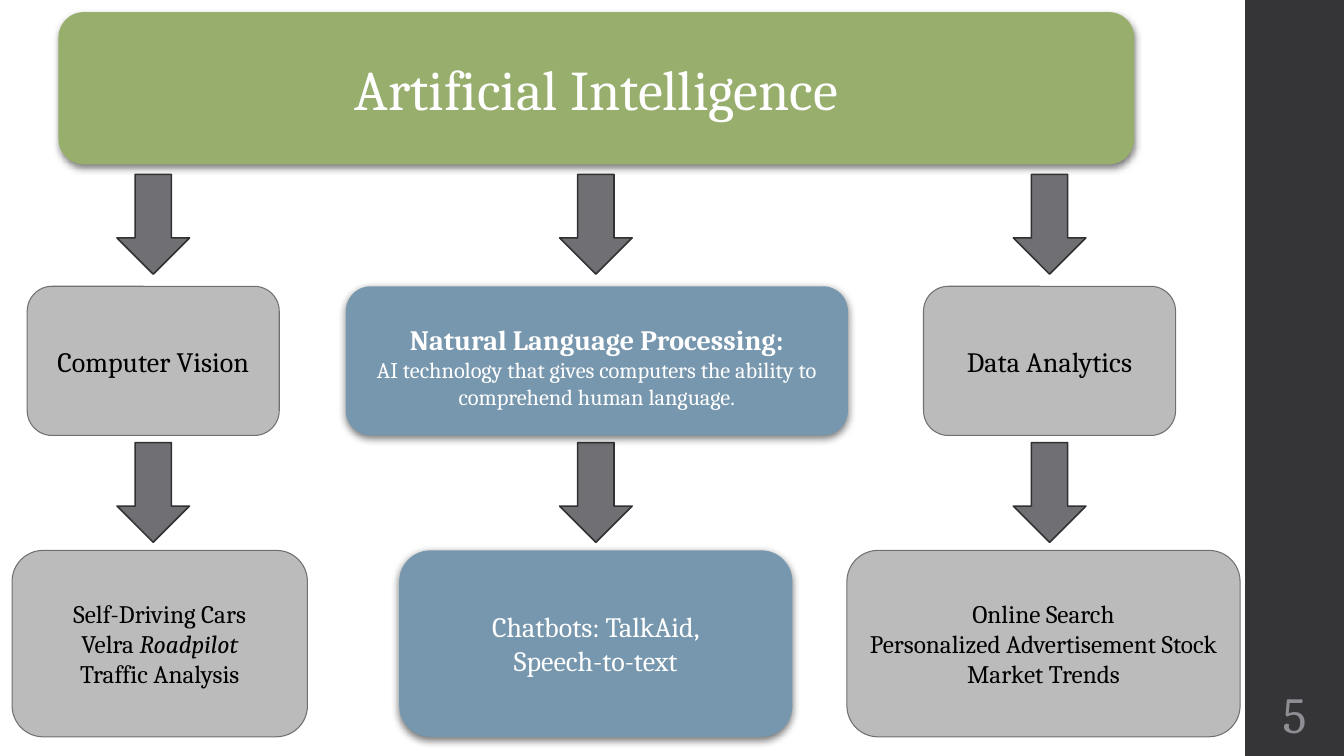
from lxml import etree
from pptx import Presentation
from pptx.dml.color import RGBColor
from pptx.enum.shapes import MSO_SHAPE as Shape
from pptx.enum.text import MSO_ANCHOR as Anchor, PP_ALIGN as Align
from pptx.oxml.ns import qn
from pptx.util import Inches, Pt

FONT = "Cambria"
COLORS = dict(bar="353537", number="8E8E94", green="97AE6D", blue="7797AE",
              grey="BBBBBC", arrow="6F6F74", outline="313133", white="FFFFFF",
              black="000000")
WIDTH, HEIGHT = 13.33, 7.5
BAR_LEFT = 12.35
TITLE = "Artificial Intelligence"
TITLE_BOX = (0.58, 0.12, 10.67, 1.51)
NUMBER = "5"

COLUMN_CENTERS = (1.52, 5.91, 10.41)
ARROW_SIZE = (0.72, 0.99)
ARROW_TOPS = (1.73, 4.39)
ROWS = ((2.84, 1.48), (5.46, 1.85))  # top, height

# Each box: row, left, width, colour, size, paragraphs of (text, format) runs
BOXES = [
    (0, 0.27, 2.5, "grey", 20, [[("Computer Vision", {})]]),
    (0, 3.43, 4.98, "blue", 16, [
        [("Natural Language Processing:", {"bold": True, "size": Pt(20)})],
        [("AI technology that gives computers the ability to "
          "comprehend human language.", {})]]),
    (0, 9.16, 2.5, "grey", 20, [[("Data Analytics", {})]]),
    (1, 0.12, 2.93, "grey", 18, [
        [("Self-Driving Cars", {})],
        [("Velra ", {}), ("Roadpilot", {"italic": True})],
        [("Traffic Analysis", {})]]),
    (1, 3.96, 3.9, "blue", 20, [
        [("Chatbots: TalkAid,", {})],
        [("Speech-to-text", {})]]),
    (1, 8.4, 3.9, "grey", 18, [
        [("Online Search", {})],
        [("Personalized Advertisement Stock Market Trends", {})]]),
]


def rgb(name):
    return RGBColor.from_string(COLORS[name])


def add_shadow(sp):
    """Give the shape a soft shadow falling straight down."""
    effects = sp._element.spPr.find(qn("a:effectLst"))
    shadow = etree.SubElement(effects, qn("a:outerShdw"), blurRad=str(Pt(6)),
                              dist=str(Pt(2)), dir="5400000", rotWithShape="0")
    color = etree.SubElement(shadow, qn("a:srgbClr"), val=COLORS["black"])
    etree.SubElement(color, qn("a:alpha"), val="55000")


def add_shape(s, kind, box, fill, line=None, width=0.75):
    sp = s.shapes.add_shape(kind, *map(Inches, box))
    sp.shadow.inherit = False
    sp.fill.solid()
    sp.fill.fore_color.rgb = rgb(fill)
    if line:
        sp.line.color.rgb = rgb(line)
        sp.line.width = Pt(width)
    else:
        sp.line.fill.background()
    return sp


def write(sp, paragraphs, size, color):
    tf = sp.text_frame
    tf.word_wrap = True
    tf.vertical_anchor = Anchor.MIDDLE
    for i, runs in enumerate(paragraphs):
        p = tf.add_paragraph() if i else tf.paragraphs[0]
        p.alignment = Align.CENTER
        for text, extra in runs:
            r = p.add_run()
            r.text = text
            for key, value in {"name": FONT, "size": Pt(size), **extra}.items():
                setattr(r.font, key, value)
            r.font.color.rgb = rgb(color)
    return tf


def main():
    prs = Presentation()
    prs.slide_width, prs.slide_height = Inches(WIDTH), Inches(HEIGHT)
    s = prs.slides.add_slide(prs.slide_layouts[5])

    bar_width = WIDTH - BAR_LEFT
    add_shape(s, Shape.RECTANGLE, (BAR_LEFT, 0, bar_width, HEIGHT), "bar")
    number = s.shapes.add_textbox(*map(Inches, (BAR_LEFT, 6.75, bar_width, 0.65)))
    write(number, [[(NUMBER, {})]], 36, "number")

    add_shadow(add_shape(s, Shape.FLOWCHART_ALTERNATE_PROCESS, TITLE_BOX, "green"))
    title = s.shapes.title
    title.left, title.top, title.width, title.height = map(Inches, TITLE_BOX)
    write(title, [[(TITLE, {})]], 40, "white")
    s.shapes._spTree.append(title._element)  # bring the title above its panel

    arrow_width, arrow_height = ARROW_SIZE
    for top in ARROW_TOPS:
        for center in COLUMN_CENTERS:
            add_shape(s, Shape.DOWN_ARROW,
                      (center - arrow_width / 2, top, arrow_width, arrow_height),
                      "arrow", "outline", 1.1)

    for row, left, width, fill, size, paragraphs in BOXES:
        top, height = ROWS[row]
        focus = fill == "blue"
        sp = add_shape(s, Shape.FLOWCHART_ALTERNATE_PROCESS,
                       (left, top, width, height), fill,
                       None if focus else "arrow")
        tf = write(sp, paragraphs, size, "white" if focus else "black")
        if focus:
            add_shadow(sp)
            if row == 0:
                tf.margin_top = Inches(0.15)

    prs.save("out.pptx")


if __name__ == "__main__":
    main()
